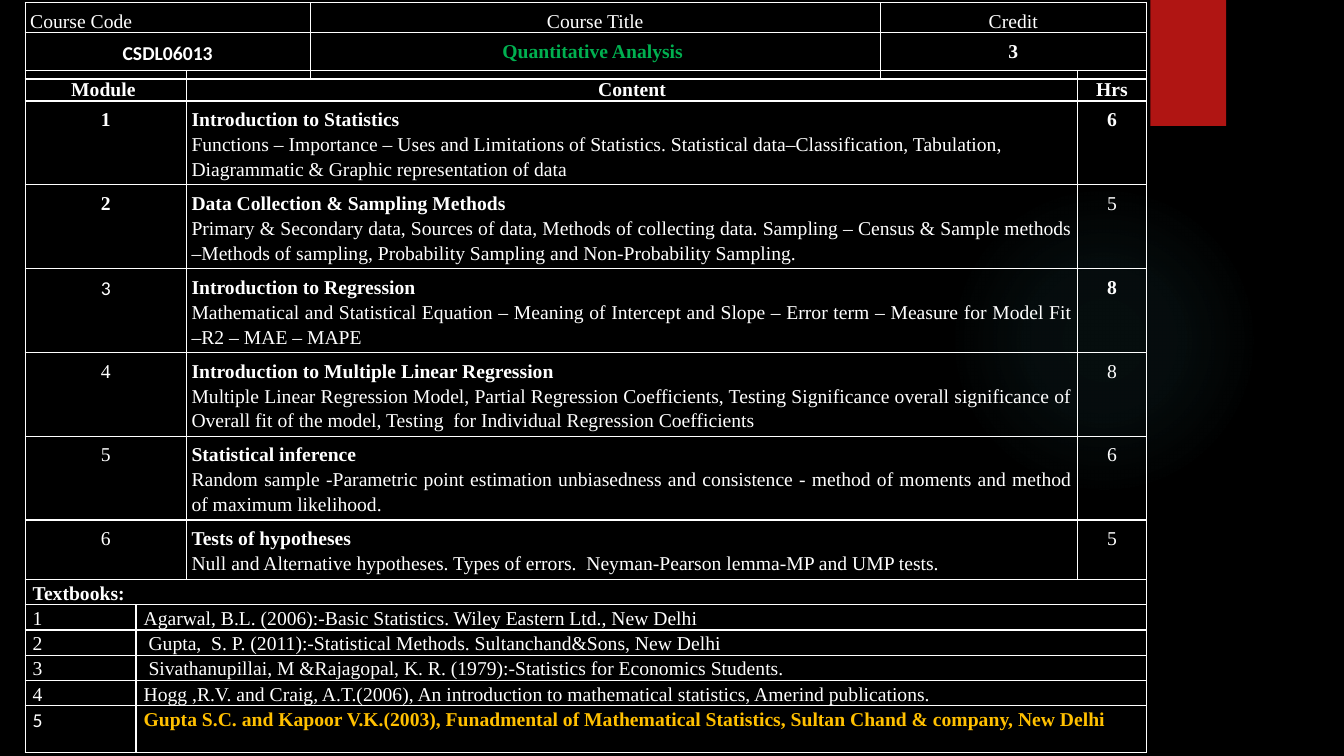
from dataclasses import dataclass

from lxml import etree
from pptx import Presentation
from pptx.dml.color import RGBColor
from pptx.enum.shapes import MSO_SHAPE as Shape
from pptx.enum.text import PP_ALIGN as Align
from pptx.oxml import parse_xml
from pptx.oxml.ns import nsdecls, qn
from pptx.util import Pt


@dataclass(frozen=True)
class Theme:
    background: str = "000000"
    text: str = "FFFFFF"
    course: str = "00B050"
    highlight: str = "FFC000"
    accent: str = "B01513"
    glow: str = "50B9C1"
    serif: str = "Times New Roman"
    sans: str = "Calibri"
    size: float = 14
    spacing: float = 1.15
    border: float = 1


THEME = Theme()


@dataclass
class Line:
    text: str
    align: Align = Align.CENTER
    bold: bool = False
    font: str = THEME.serif
    color: str = THEME.text


# Content
COURSE_LABELS = ["Course Code", "Course Title", "Credit"]
COURSE = ["CSDL06013", "Quantitative Analysis ", "3"]

MODULE_LABELS = ["Module ", "Content", "Hrs"]
MODULES = [  # title, topics, hours
    ("Introduction to Statistics",
     "Functions – Importance – Uses and Limitations of Statistics. Statistical data–Classification, "
     "Tabulation, Diagrammatic & Graphic representation of data", "6"),
    ("Data Collection & Sampling Methods",
     "Primary & Secondary data, Sources of data, Methods of collecting data. Sampling – Census & "
     "Sample methods –Methods of sampling, Probability Sampling and Non-Probability Sampling.", "5"),
    ("Introduction to Regression",
     "Mathematical and Statistical Equation – Meaning of Intercept and Slope – Error term – "
     "Measure for Model Fit –R2 – MAE – MAPE", "8"),
    ("Introduction to Multiple Linear Regression",
     "Multiple Linear Regression Model, Partial Regression Coefficients, Testing Significance "
     "overall significance of Overall fit of the model, Testing  for Individual Regression "
     "Coefficients ", "8"),
    ("Statistical inference",
     "Random sample -Parametric point estimation unbiasedness and consistence - method of moments "
     "and method of maximum likelihood.", "6"),
    ("Tests of hypotheses",
     "Null and Alternative hypotheses. Types of errors.  Neyman-Pearson lemma-MP and UMP tests. ",
     "5"),
]
BOLD_MODULES = {1, 2}
BOLD_HOURS = {1, 3}
SANS_MODULES = {3}

TEXTBOOKS_LABEL = "Textbooks:"
TEXTBOOKS = [
    "Agarwal, B.L. (2006):-Basic Statistics. Wiley Eastern Ltd., New Delhi ",
    " Gupta,  S. P. (2011):-Statistical Methods. Sultanchand&Sons, New Delhi ",
    " Sivathanupillai, M &Rajagopal, K. R. (1979):-Statistics for Economics Students.",
    "Hogg ,R.V. and Craig, A.T.(2006), An introduction to mathematical statistics, "
    "Amerind publications.",
    "Gupta S.C. and Kapoor V.K.(2003), Funadmental of Mathematical Statistics, "
    "Sultan Chand & company, New Delhi",
]

# Layout
TABLE_LEFT = 18
GRID_MARGINS = (3.6, 3.6, 3.6, 0)
BOOK_MARGINS = (5.4, 0, 5.4, 0)


def color(code):
    return RGBColor.from_string(code)


def add_borders(cell):
    properties = cell._tc.get_or_add_tcPr()
    for index, side in enumerate("LRTB"):
        properties.insert(index, parse_xml(
            f'<a:ln{side} {nsdecls("a")} w="{Pt(THEME.border)}"><a:solidFill>'
            f'<a:srgbClr val="{THEME.text}"/></a:solidFill></a:ln{side}>'))


def fill_cell(cell, lines, margins):
    cell.fill.background()
    add_borders(cell)
    cell.margin_left, cell.margin_top, cell.margin_right, cell.margin_bottom = map(Pt, margins)
    frame = cell.text_frame
    for index, line in enumerate(lines):
        paragraph = frame.add_paragraph() if index else frame.paragraphs[0]
        paragraph.text = line.text
        paragraph.alignment = line.align
        paragraph.line_spacing = THEME.spacing
        font = paragraph.font
        font.name, font.size, font.bold = line.font, Pt(THEME.size), line.bold
        font.color.rgb = color(line.color)


def add_grid(slide, top, widths, heights, rows, margins):
    table = slide.shapes.add_table(len(rows), len(widths), Pt(TABLE_LEFT), Pt(top),
                                   Pt(sum(widths)), Pt(sum(heights))).table
    table.first_row = table.horz_banding = False
    for column, width in zip(table.columns, widths):
        column.width = Pt(width)
    for row, height, cells in zip(table.rows, heights, rows):
        row.height = Pt(height)
        for cell, lines in zip(row.cells, cells):
            fill_cell(cell, lines, margins)
    return table


def add_plain_shape(slide, kind, left, top, width, height):
    shape = slide.shapes.add_shape(kind, Pt(left), Pt(top), Pt(width), Pt(height))
    shape.shadow.inherit = False
    shape.line.fill.background()
    return shape


def add_glow(slide):
    glow = add_plain_shape(slide, Shape.OVAL, 677.5, 131.8, 221.8, 221.8)
    stops = "".join(
        f'<a:gs pos="{position * 1000}"><a:srgbClr val="{THEME.glow}">'
        f'<a:alpha val="{alpha * 1000}"/></a:srgbClr></a:gs>'
        for position, alpha in [(0, 7), (36, 6), (69, 0), (100, 0)])
    gradient = etree.fromstring(
        f'<a:gradFill {nsdecls("a")}><a:gsLst>{stops}</a:gsLst><a:path path="circle">'
        '<a:fillToRect l="50000" t="50000" r="50000" b="50000"/></a:path></a:gradFill>')
    glow._element.spPr.find(qn("a:prstGeom")).addnext(gradient)


def module_row(number, title, topics, hours):
    align = Align.LEFT if number == 1 else Align.JUSTIFY
    font = THEME.sans if number in SANS_MODULES else THEME.serif
    return [[Line(str(number), bold=number in BOLD_MODULES, font=font)],
            [Line(title, align, bold=True), Line(topics, align)],
            [Line(hours, bold=number in BOLD_HOURS)]]


def textbook_row(number, book):
    last = number == len(TEXTBOOKS)
    return [[Line(str(number), Align.JUSTIFY, font=THEME.sans if last else THEME.serif)],
            [Line(book, Align.JUSTIFY, bold=last,
                  color=THEME.highlight if last else THEME.text)]]


def main():
    presentation = Presentation()
    presentation.slide_width, presentation.slide_height = Pt(960), Pt(540)
    slide = presentation.slides.add_slide(presentation.slide_layouts[6])
    slide.background.fill.solid()
    slide.background.fill.fore_color.rgb = color(THEME.background)

    # Backdrop
    add_glow(slide)
    ribbon = add_plain_shape(slide, Shape.RECTANGLE, 821.8, 0, 54, 90)
    ribbon.fill.solid()
    ribbon.fill.fore_color.rgb = color(THEME.accent)

    # Modules
    module_rows = [[[Line(label, bold=True)] for label in MODULE_LABELS]]
    module_rows += [module_row(number, *module) for number, module in enumerate(MODULES, 1)]
    add_grid(slide, 50.6, [115.2, 636.6, 49], [21.6] + [59.85] * 5 + [42.4],
             module_rows, GRID_MARGINS)

    # Course heading
    labels = [[Line(label)] for label in COURSE_LABELS]
    labels[0][0].align = Align.LEFT
    values = [[Line(value, bold=True)] for value in COURSE]
    values[0][0].font = THEME.sans
    values[1][0].color = THEME.course
    add_grid(slide, 1.9, [203.6, 407.2, 190], [21.6, 33], [labels, values], GRID_MARGINS)

    # Textbooks
    book_rows = [[[Line(TEXTBOOKS_LABEL, Align.LEFT, bold=True)], []]]
    book_rows += [textbook_row(number, book) for number, book in enumerate(TEXTBOOKS, 1)]
    books = add_grid(slide, 414, [79.2, 721.6], [18] * 5 + [33.6], book_rows, BOOK_MARGINS)
    books.cell(0, 0).merge(books.cell(0, 1))

    presentation.save("out.pptx")


if __name__ == "__main__":
    main()
